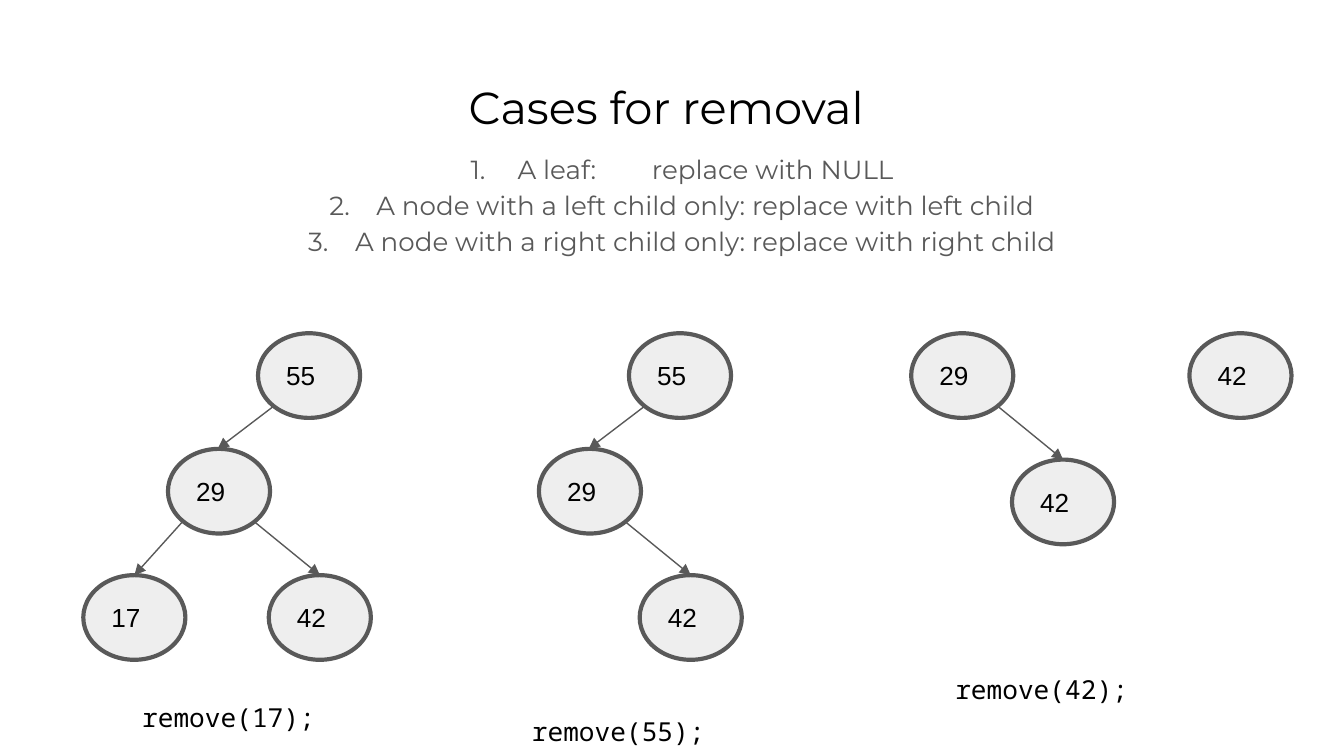
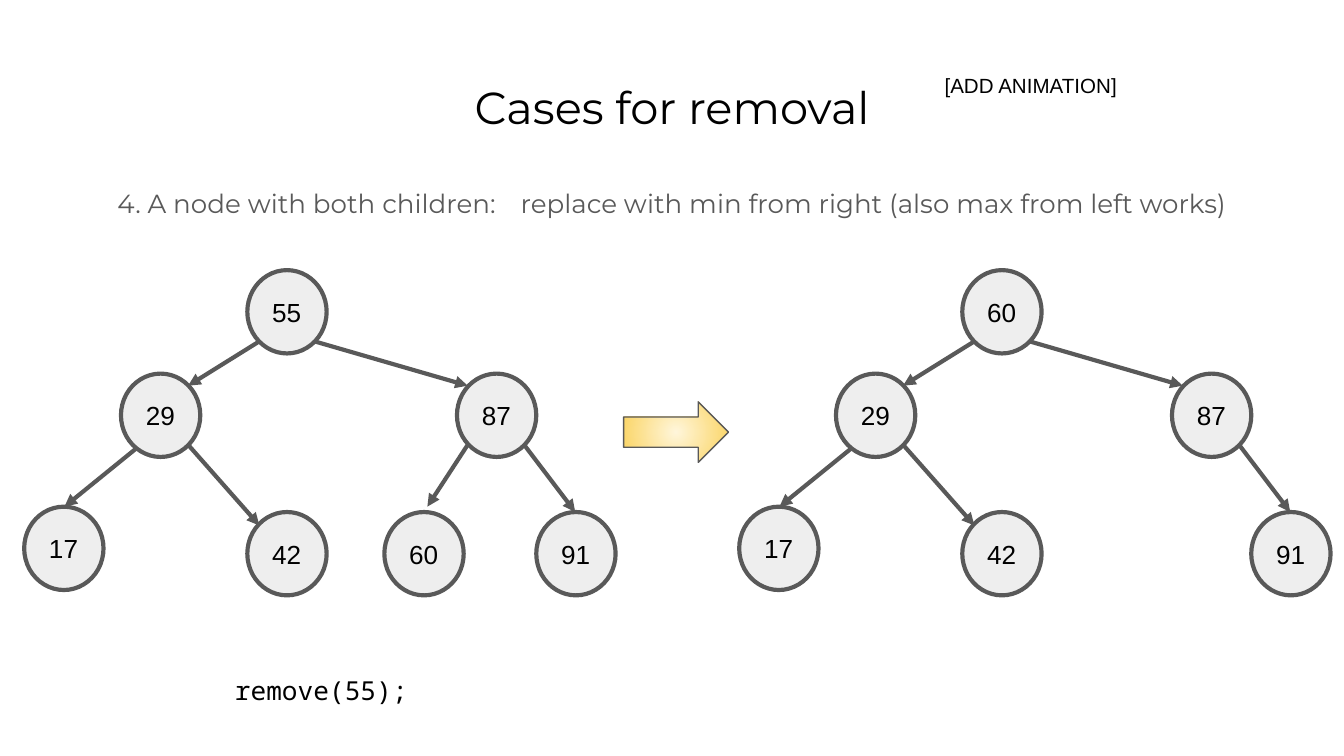
"""Build two slides on the cases for removing a node from a binary search tree."""
from lxml import etree
from pptx import Presentation
from pptx.dml.color import RGBColor
from pptx.enum.shapes import MSO_CONNECTOR, MSO_SHAPE
from pptx.enum.text import MSO_ANCHOR, PP_ALIGN
from pptx.oxml import parse_xml
from pptx.oxml.ns import nsdecls, qn
from pptx.util import Inches, Pt

LEFT, CENTER = PP_ALIGN.LEFT, PP_ALIGN.CENTER
MIDDLE = MSO_ANCHOR.MIDDLE
NODE, RIGHT_ARROW = MSO_SHAPE.FLOWCHART_CONNECTOR, MSO_SHAPE.RIGHT_ARROW
STRAIGHT = MSO_CONNECTOR.STRAIGHT

color = RGBColor.from_string
BLACK, GRAY, NODE_FILL = "000000", "595959", "EEEEEE"
ARROW_CENTER, ARROW_EDGE = "FFF6DB", "FAD25C"
HEADING_FONT, LABEL_FONT, CODE_FONT = "Montserrat", "Arial", "Noto Sans Mono"


def add_run(paragraph, text, font, size, hex_color):
    run = paragraph.add_run()
    run.text = text
    run.font.name = font
    run.font.size = Pt(size)
    run.font.color.rgb = color(hex_color)


def add_text(slide, box, lines, font, size, hex_color=BLACK, align=LEFT):
    frame = slide.shapes.add_textbox(*map(Inches, box)).text_frame
    frame.word_wrap = True
    frame.margin_left = frame.margin_right = Inches(0.1)
    frame.margin_top = frame.margin_bottom = Inches(0.1)
    for index, line in enumerate(lines):
        paragraph = frame.add_paragraph() if index else frame.paragraphs[0]
        paragraph.alignment = align
        add_run(paragraph, line, font, size, hex_color)
    return frame.paragraphs


presentation = Presentation()
presentation.slide_width = Inches(10)
presentation.slide_height = presentation.slide_width * 9 // 16
blank = presentation.slide_layouts[6]
simple_slide = presentation.slides.add_slide(blank)
both_slide = presentation.slides.add_slide(blank)

title_box = (0.34, 0.49, 9.32, 0.63)
add_text(simple_slide, title_box, ["Cases for removal "], HEADING_FONT, 24, align=CENTER)
add_text(both_slide, title_box, ["Cases for removal"], HEADING_FONT, 24, align=CENTER)

simple_cases = [
    "A leaf: \treplace with NULL",
    "A node with a left child only: replace with left child",
    "A node with a right child only: replace with right child",
]
for paragraph in add_text(simple_slide, (0.34, 1.01, 9.32, 1.36), simple_cases,
                          HEADING_FONT, 14, GRAY, CENTER):
    paragraph.line_spacing = 1.15
    properties = paragraph._p.get_or_add_pPr()
    properties.set("marL", str(Inches(0.5)))
    properties.set("indent", str(Inches(-0.35)))
    bullet_color = etree.SubElement(properties, qn("a:buClr"))
    etree.SubElement(bullet_color, qn("a:srgbClr"), val=GRAY)
    etree.SubElement(properties, qn("a:buFont"), typeface=HEADING_FONT)
    etree.SubElement(properties, qn("a:buAutoNum"), type="arabicPeriod")
    tab_stops = etree.SubElement(properties, qn("a:tabLst"))
    etree.SubElement(tab_stops, qn("a:tab"), pos=str(Inches(1.5)), algn="l")

both_case = ["4. A node with both children: \treplace with min from right (also max from left works)"]
for paragraph in add_text(both_slide, (0.34, 1.26, 9.32, 0.63), both_case,
                          HEADING_FONT, 14, GRAY, CENTER):
    paragraph.line_spacing = 1.15
    paragraph.space_after = Pt(16)

simple_layout = {
    "size": (0.76, 0.63),
    "arrow_width": 0.75,
    "nodes": {"root": (1.92, 2.48), "left": (1.25, 3.34),
              "left.left": (0.62, 4.28), "left.right": (2, 4.28)},
    "arrows": [
        ("root", "left", (2.04, 3.02), (1.62, 3.34)),
        ("left", "left.left", (1.36, 3.88), (1, 4.28)),
        ("left", "left.right", (1.89, 3.88), (2.38, 4.28)),
    ],
}
both_layout = {
    "size": (0.59, 0.62),
    "arrow_width": 2.25,
    "nodes": {"root": (1.84, 2.01), "left": (0.9, 2.78), "left.right": (1.84, 3.81),
              "left.left": (0.18, 3.77), "right": (3.4, 2.78),
              "right.left": (2.86, 3.81), "right.right": (3.99, 3.81)},
    "arrows": [
        ("root", "left", (1.93, 2.54), (1.4, 2.87)),
        ("left", "left.right", (1.4, 3.31), (1.93, 3.91)),
        ("left", "left.left", (1.01, 3.34), (0.48, 3.77)),
        ("root", "right", (2.34, 2.54), (3.48, 2.87)),
        ("right", "right.left", (3.48, 3.31), (3.18, 3.77)),
        ("right", "right.right", (3.9, 3.31), (4.28, 3.81)),
    ],
}

before_removal = {"root": "55", "left": "29", "left.right": "42", "left.left": "17",
                  "right": "87", "right.left": "60", "right.right": "91"}
after_removal = {**before_removal, "root": "60"}
del after_removal["right.left"]

simple = simple_slide.shapes
trees = [
    (simple, simple_layout, 0, 0,
     {"root": "55", "left": "29", "left.left": "17", "left.right": "42"}),
    (simple, simple_layout, 2.76, 0, {"root": "55", "left": "29", "left.right": "42"}),
    (simple, simple_layout, 5.53, -0.86, {"left": "29", "left.right": "42"}),
    (simple, simple_layout, 6.85, -1.8, {"left.right": "42"}),
    (both_slide.shapes.add_group_shape().shapes, both_layout, 0, 0, before_removal),
    (both_slide.shapes.add_group_shape().shapes, both_layout, 5.32, 0, after_removal),
]
for shapes, layout, shift_x, shift_y, labels in trees:
    for position, label in labels.items():
        x, y = layout["nodes"][position]
        node = shapes.add_shape(NODE, Inches(x + shift_x), Inches(y + shift_y),
                                *map(Inches, layout["size"]))
        node.shadow.inherit = False
        node.fill.solid()
        node.fill.fore_color.rgb = color(NODE_FILL)
        node.line.color.rgb = color(GRAY)
        node.line.width = Pt(2.25)
        frame = node.text_frame
        frame.vertical_anchor = MIDDLE
        frame.margin_left = frame.margin_top = frame.margin_bottom = Inches(0.1)
        frame.margin_right = 0
        frame.paragraphs[0].alignment = LEFT
        add_run(frame.paragraphs[0], label, LABEL_FONT, 14, BLACK)
    for parent, child, start, end in layout["arrows"]:
        if parent not in labels or child not in labels:
            continue
        arrow = shapes.add_connector(
            STRAIGHT, Inches(start[0] + shift_x), Inches(start[1] + shift_y),
            Inches(end[0] + shift_x), Inches(end[1] + shift_y))
        arrow.line.color.rgb = color(GRAY)
        arrow.line.width = Pt(layout["arrow_width"])
        etree.SubElement(arrow.line._get_or_add_ln(), qn("a:tailEnd"), type="triangle")
        etree.SubElement(arrow._element.spPr, qn("a:effectLst"))

for slide, x, y, call in [
    (simple_slide, 0.96, 5.12, "remove(17);"),
    (simple_slide, 3.86, 5.22, "remove(55);"),
    (simple_slide, 7.01, 4.91, "remove(42);"),
    (both_slide, 1.65, 4.92, "remove(55);"),
]:
    add_text(slide, (x, y, 1.8, 0.32), [call], CODE_FONT, 14)

step = both_slide.shapes.add_shape(RIGHT_ARROW, *map(Inches, (4.64, 2.99, 0.78, 0.45)))
step.shadow.inherit = False
step.line.color.rgb = color(GRAY)
step.line.width = Pt(0.75)
step.fill.gradient()
for stop, hex_color in zip(step.fill.gradient_stops, (ARROW_CENTER, ARROW_EDGE)):
    stop.color.rgb = color(hex_color)
gradient = step._element.spPr.find(qn("a:gradFill"))
gradient.replace(gradient.find(qn("a:lin")), parse_xml(
    f'<a:path {nsdecls("a")} path="circle">'
    '<a:fillToRect l="50000" t="50000" r="50000" b="50000"/></a:path>'))

add_text(both_slide, (6.93, 0.45, 2.02, 0.58), ["[ADD ANIMATION]"], LABEL_FONT, 11)

presentation.save("out.pptx")
